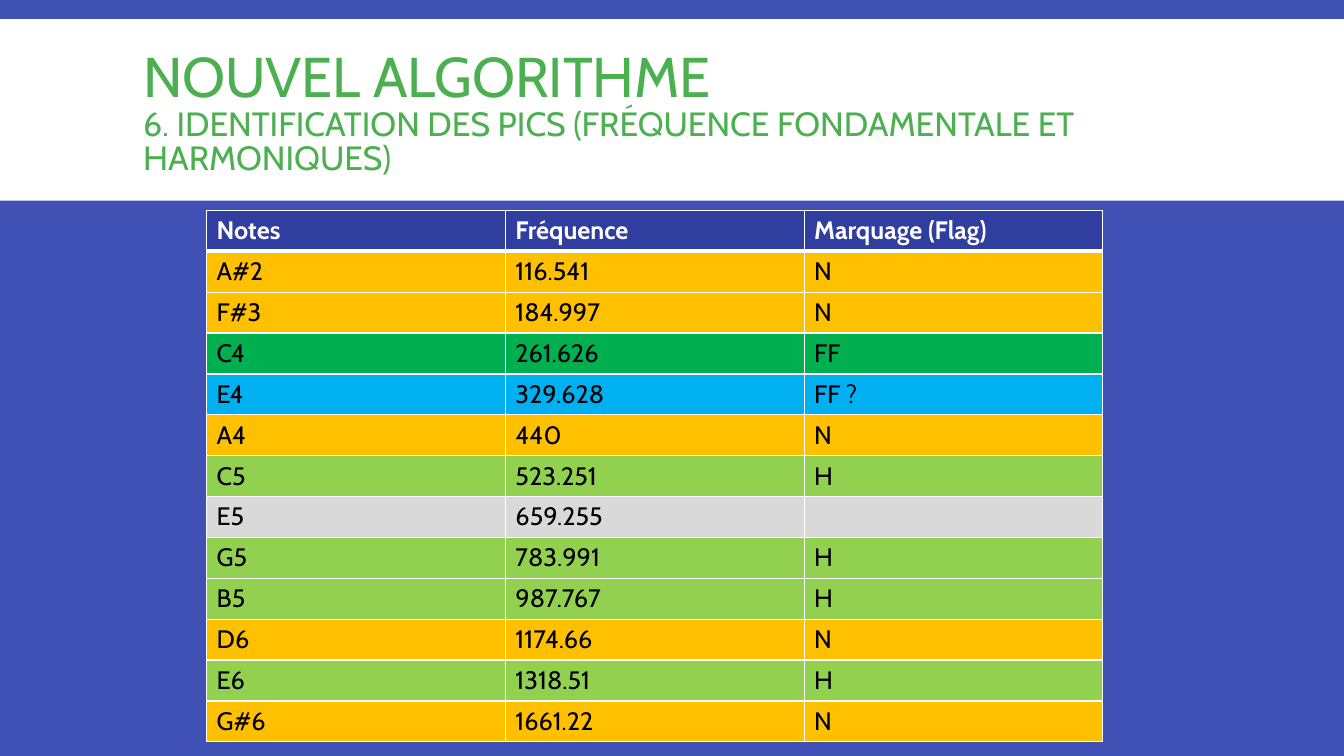
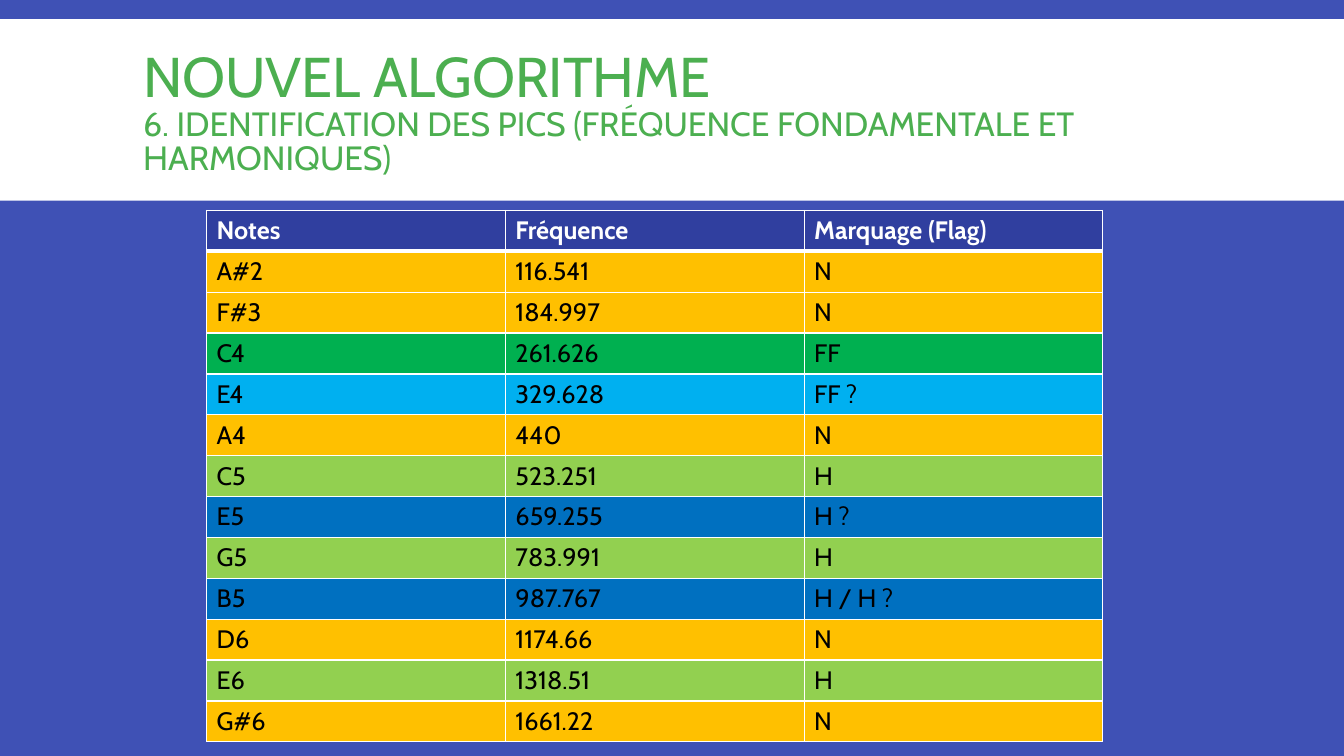
"""Build two slides that mark the peaks of a spectrum, note by note."""
from lxml import etree
from pptx import Presentation
from pptx.dml.color import RGBColor
from pptx.enum.shapes import MSO_SHAPE
from pptx.enum.text import MSO_ANCHOR, MSO_AUTO_SIZE, PP_ALIGN
from pptx.oxml.ns import qn
from pptx.util import Pt

RECT = MSO_SHAPE.RECTANGLE
MIDDLE = MSO_ANCHOR.MIDDLE
FIXED = MSO_AUTO_SIZE.NONE
LEFT = PP_ALIGN.LEFT

THEME = {
    "font": "Cabin",
    "back": "3F51B5", "band": "FFFFFF", "title": "4CAF50",
    "head": "303F9F", "light": "FFFFFF", "dark": "000000",
    "big": 40, "small": 24, "body": 18,
    "thin": 1, "thick": 3,
}
NOISE, BASE, MAYBE = "FFC000", "00B050", "00B0F0"
TONE, BLANK, DOUBT = "92D050", "D9D9D9", "0070C0"
FILLS = {"N": NOISE, "FF": BASE, "FF ?": MAYBE, "H": TONE,
         "": BLANK, "H ?": DOUBT, "H / H ?": DOUBT}

TITLE = "NOUVEL ALGORITHME"
TOPIC = "6. IDENTIFICATION DES PICS (FRÉQUENCE FONDAMENTALE ET HARMONIQUES)"
HEADS = ("Notes", "Fréquence", "Marquage (Flag)")
PEAKS = (
    ("A#2", "116.541", "N"), ("F#3", "184.997", "N"),
    ("C4", "261.626", "FF"), ("E4", "329.628", "FF ?"),
    ("A4", "440", "N"), ("C5", "523.251", "H"),
    ("E5", "659.255", ""), ("G5", "783.991", "H"),
    ("B5", "987.767", "H"), ("D6", "1174.66", "N"),
    ("E6", "1318.51", "H"), ("G#6", "1661.22", "N"),
)
STEPS = ({}, {"E5": "H ?", "B5": "H / H ?"})
COL, ROW = 213.4, 29.2


def write(para, text, size, color, bold=False):
    run = para.add_run()
    run.text = text
    style = {"name": THEME["font"], "size": Pt(size), "bold": bold}
    for key, value in style.items():
        setattr(run.font, key, value)
    run.font.color.rgb = RGBColor.from_string(color)


def edge(cell, widths):
    props = cell._tc.get_or_add_tcPr()
    for spot, (side, width) in enumerate(widths.items()):
        line = etree.Element(qn("a:" + side), w=str(Pt(width)))
        fill = etree.SubElement(line, qn("a:solidFill"))
        etree.SubElement(fill, qn("a:srgbClr"), val=THEME["light"])
        props.insert(spot, line)


deck = Presentation()
deck.slide_width, deck.slide_height = Pt(960), Pt(540)
paper = deck.slide_master.background.fill
paper.solid()
paper.fore_color.rgb = RGBColor.from_string(THEME["back"])
layout = deck.slide_layouts[5]

for step, flags in enumerate(STEPS):
    slide = deck.slides.add_slide(layout)
    if step == 0:
        band = slide.shapes.add_shape(RECT, 0, Pt(13.7), Pt(960), Pt(129.6))
        band.shadow.inherit = False
        band.fill.solid()
        band.fill.fore_color.rgb = RGBColor.from_string(THEME["band"])
        band.line.fill.background()
        band.element.nvSpPr.cNvPr.set("id", "20")
        layout.shapes.element.insert(2, band.element)

    title = slide.shapes.title
    place = {"left": 95, "top": 22.3, "width": 854.6, "height": 118.8}
    for key, value in place.items():
        setattr(title, key, Pt(value))
    frame = title.text_frame
    setup = {"vertical_anchor": MIDDLE, "auto_size": FIXED, "word_wrap": True}
    for key, value in setup.items():
        setattr(frame, key, value)
    para = frame.paragraphs[0]
    para.alignment, para.line_spacing = LEFT, 0.85
    write(para, TITLE, THEME["big"], THEME["title"])
    para.add_line_break()
    write(para, TOPIC, THEME["small"], THEME["title"])

    rows = [HEADS]
    rows += [(note, freq, flags.get(note, flag)) for note, freq, flag in PEAKS]
    count = len(rows)
    grid = slide.shapes.add_table(
        count, len(HEADS), Pt(147.6), Pt(150.3),
        Pt(COL * len(HEADS)), Pt(ROW * count)).table
    for line in grid.rows:
        line.height = Pt(ROW)
    for r, row in enumerate(rows):
        head = r == 0
        shade = THEME["head"] if head else FILLS[row[-1]]
        ink = THEME["light"] if head else THEME["dark"]
        widths = dict.fromkeys(("lnL", "lnR", "lnT", "lnB"), THEME["thin"])
        if r < 2:
            widths["lnB" if head else "lnT"] = THEME["thick"]
        for c, text in enumerate(row):
            cell = grid.cell(r, c)
            cell.fill.solid()
            cell.fill.fore_color.rgb = RGBColor.from_string(shade)
            edge(cell, widths)
            if text:
                para = cell.text_frame.paragraphs[0]
                write(para, text, THEME["body"], ink, head)

deck.save("out.pptx")
